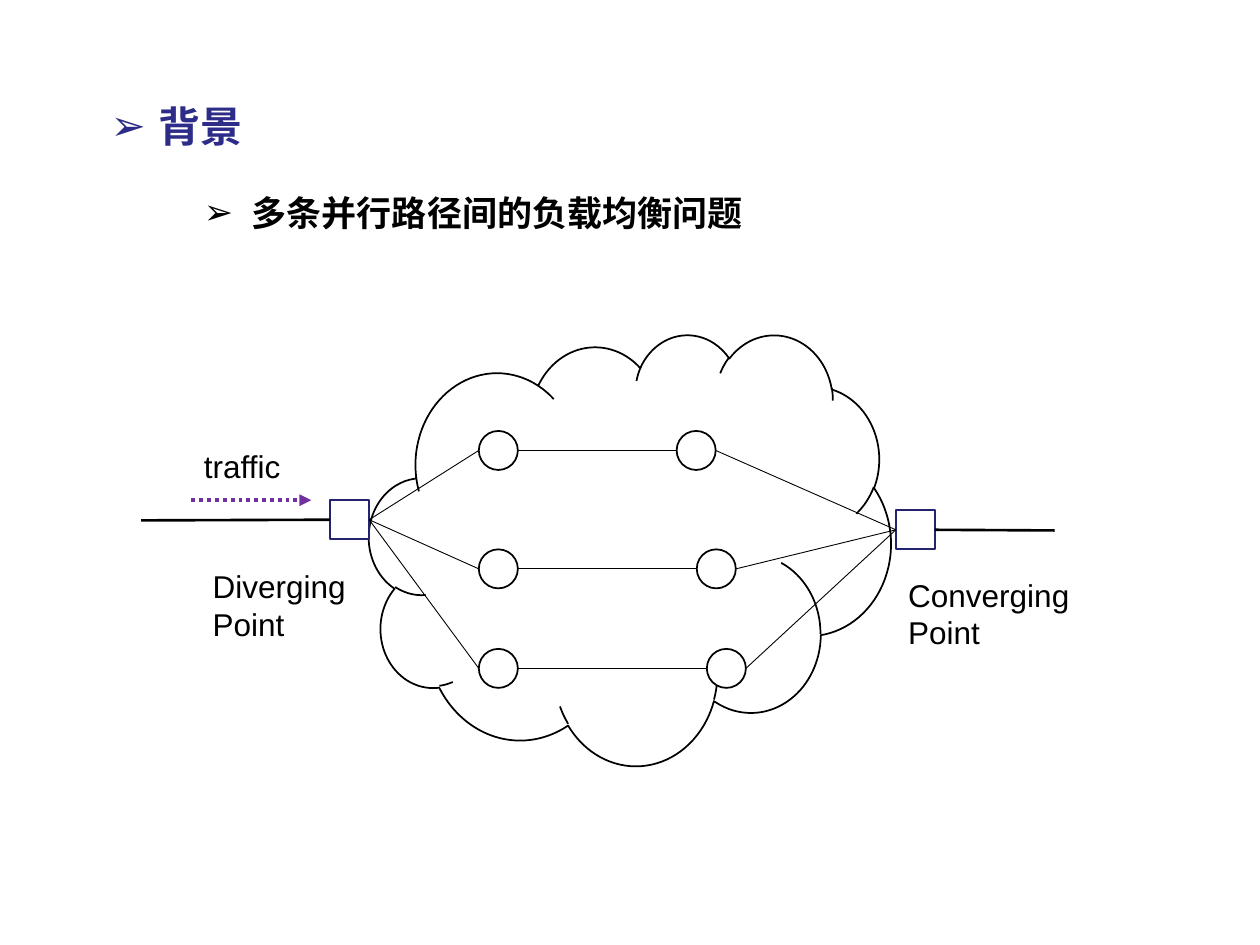
from typing import NamedTuple, Optional

import lxml.etree
import pptx
import pptx.dml.color
import pptx.enum.dml
import pptx.enum.shapes
import pptx.oxml.ns
import pptx.util

Inches = pptx.util.Inches
SHAPES = pptx.enum.shapes.MSO_SHAPE
COLOURS = {
    "paper": "FFFFFF",
    "ink": "000000",
    "heading": "2D2D89",
    "endpoint": "23236F",
    "traffic": "7030A0",
}
NODE_SIZE = 0.31
LEFT_NODE_X = 3.8
TOP, LEFT, BOTTOM, RIGHT = range(4)


class Label(NamedTuple):
    text: str
    left: float
    top: float
    width: float
    height: float
    size: int = 18
    colour: str = "ink"
    bullet: bool = False


class Route(NamedTuple):
    """One parallel path: its row and where its right-hand node stands."""
    top: float
    right_node_x: float


LABELS = [
    Label("背景", 0.78, 0.75, 2.5, 0.5, 24, "heading", True),
    Label("多条并行路径间的负载均衡问题", 1.52, 1.47, 6.95, 0.44, 20, "ink", True),
    Label("traffic", 1.52, 3.5, 1.02, 0.4),
    Label("Diverging Point", 1.59, 4.45, 1.44, 0.7),
    Label("Converging Point", 7.11, 4.52, 1.85, 0.7),
]
ROUTES = [Route(3.42, 5.37), Route(4.36, 5.53), Route(5.15, 5.61)]


def rgb(name: str) -> pptx.dml.color.RGBColor:
    return pptx.dml.color.RGBColor.from_string(COLOURS[name])


def add_element(parent, tag: str, **attributes: str):
    return lxml.etree.SubElement(parent, pptx.oxml.ns.qn(tag), **attributes)


def add_bullet(para, colour: str) -> None:
    properties = para._p.get_or_add_pPr()
    properties.set("marL", str(Inches(0.38)))
    properties.set("indent", str(Inches(-0.38)))
    bullet_colour = add_element(properties, "a:buClr")
    add_element(bullet_colour, "a:srgbClr", val=COLOURS[colour])
    add_element(properties, "a:buFont", typeface="Arial")
    add_element(properties, "a:buChar", char="➢")


def add_label(page, label: Label) -> None:
    box = page.shapes.add_textbox(Inches(label.left), Inches(label.top),
                                  Inches(label.width), Inches(label.height))
    box.text_frame.word_wrap = True
    para = box.text_frame.paragraphs[0]
    if label.bullet:
        add_bullet(para, label.colour)
    span = para.add_run()
    span.text = label.text
    font_format = {"name": "Arial", "size": pptx.util.Pt(label.size), "bold": label.bullet}
    for attribute, value in font_format.items():
        setattr(span.font, attribute, value)
    span.font.color.rgb = rgb(label.colour)


def add_outline(page, kind, left: float, top: float, width: float, height: float,
                colour: str = "ink"):
    shape = page.shapes.add_shape(kind, Inches(left), Inches(top),
                                  Inches(width), Inches(height))
    shape.shadow.inherit = False
    shape.fill.solid()
    shape.fill.fore_color.rgb = rgb("paper")
    shape.line.color.rgb = rgb(colour)
    shape.line.width = pptx.util.Pt(1)
    return shape


def add_line(page, start: tuple[float, float], end: tuple[float, float],
             weight: float = 0.5, colour: str = "ink",
             begin_at: Optional[tuple] = None, end_at: Optional[tuple] = None):
    line = page.shapes.add_connector(pptx.enum.shapes.MSO_CONNECTOR.STRAIGHT,
                                     *map(Inches, start + end))
    line.line.color.rgb = rgb(colour)
    line.line.width = pptx.util.Pt(weight)
    add_element(line._element.spPr, "a:effectLst")
    if begin_at:
        line.begin_connect(*begin_at)
    if end_at:
        line.end_connect(*end_at)
    return line


def add_route(page, route: Route, diverging, converging) -> None:
    middle = route.top + NODE_SIZE / 2
    for x in (LEFT_NODE_X, route.right_node_x):
        add_outline(page, SHAPES.OVAL, x, route.top, NODE_SIZE, NODE_SIZE)
    left_end = LEFT_NODE_X + NODE_SIZE
    right_end = route.right_node_x + NODE_SIZE
    add_line(page, (2.93, 4.13), (LEFT_NODE_X, middle), begin_at=(diverging, RIGHT))
    add_line(page, (left_end, middle), (route.right_node_x, middle))
    add_line(page, (right_end, middle), (7.11, 4.2), end_at=(converging, LEFT))


def main() -> None:
    deck = pptx.Presentation()
    deck.slide_width, deck.slide_height = Inches(10), Inches(7.5)
    page = deck.slides.add_slide(deck.slide_layouts[6])

    # Network cloud with its entry and exit points
    add_outline(page, SHAPES.CLOUD, 2.93, 2.65, 4.14, 3.42)
    diverging = add_outline(page, SHAPES.RECTANGLE, 2.62, 3.97,
                            NODE_SIZE, NODE_SIZE, "endpoint")
    converging = add_outline(page, SHAPES.RECTANGLE, 7.11, 4.05,
                             NODE_SIZE, NODE_SIZE, "endpoint")

    # Parallel paths
    for route in ROUTES:
        add_route(page, route, diverging, converging)

    # Outer links
    add_line(page, (2.62, 4.13), (1.12, 4.13), 1.5, begin_at=(diverging, LEFT))
    add_line(page, (7.42, 4.2), (8.37, 4.21), 1.5, begin_at=(converging, RIGHT))

    # Traffic direction
    arrow = add_line(page, (1.52, 3.97), (2.47, 3.97), 2.25, "traffic")
    arrow.line.dash_style = pptx.enum.dml.MSO_LINE.ROUND_DOT
    add_element(arrow.line._get_or_add_ln(), "a:tailEnd", type="triangle")

    # Headings and labels
    for label in LABELS:
        add_label(page, label)

    deck.save("out.pptx")


if __name__ == "__main__":
    main()
